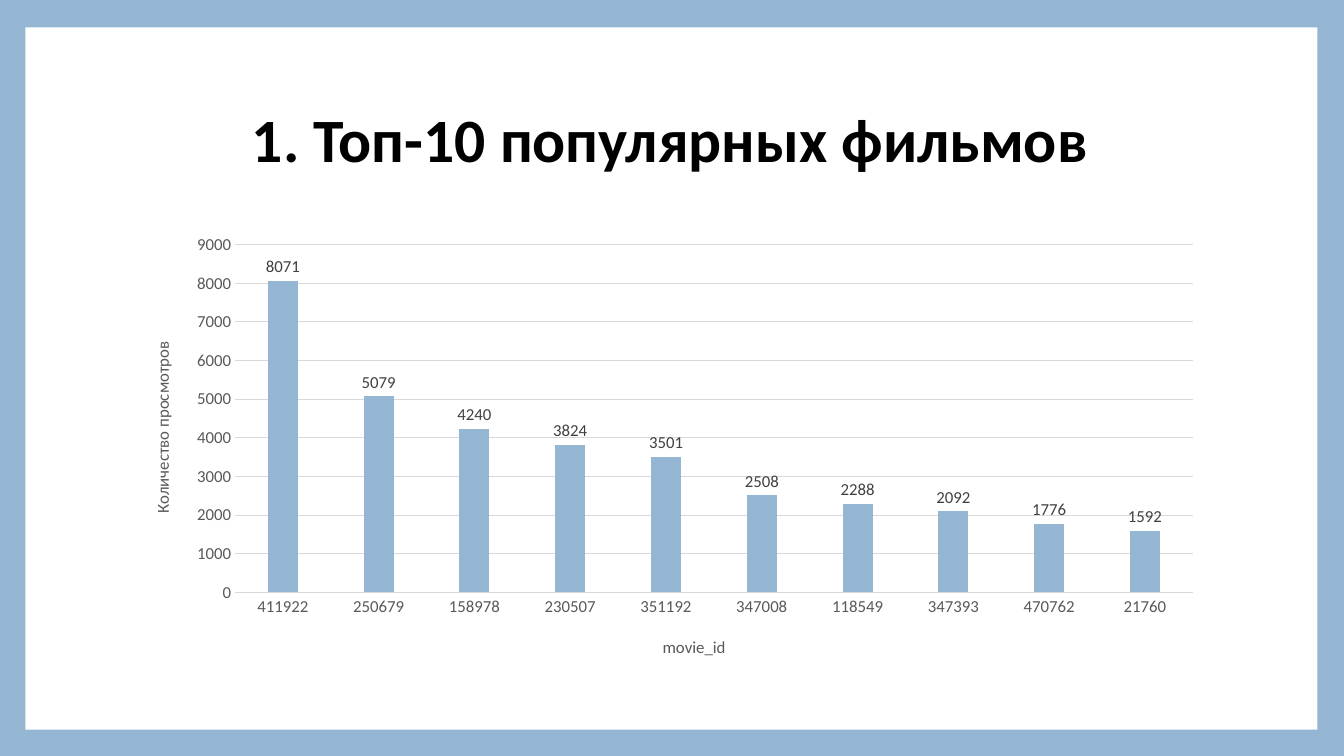
from lxml import etree
from pptx import Presentation
from pptx.chart.data import CategoryChartData
from pptx.dml.color import RGBColor
from pptx.enum.chart import XL_CHART_TYPE as CHART, XL_LABEL_POSITION as LABEL, XL_TICK_MARK as TICK
from pptx.enum.shapes import MSO_SHAPE as SHAPE
from pptx.enum.text import MSO_ANCHOR as ANCHOR, MSO_AUTO_SIZE as AUTO, PP_ALIGN as ALIGN
from pptx.oxml.ns import qn
from pptx.util import Cm, Pt

COLORS = {"blue": "94B6D2", "white": "FFFFFF", "title": "000000",
          "axis": "595959", "label": "404040", "grid": "D9D9D9"}
FONT = "Calibri"
VIEWS = {"411922": 8071, "250679": 5079, "158978": 4240, "230507": 3824, "351192": 3501,
         "347008": 2508, "118549": 2288, "347393": 2092, "470762": 1776, "21760": 1592}


def rgb(name):
    return RGBColor.from_string(COLORS[name])


def format_font(font, size, color, bold=False):
    for key, value in {"name": FONT, "size": Pt(size), "bold": bold}.items():
        setattr(font, key, value)
    font.color.rgb = rgb(color)


def format_line(line, color):
    line.color.rgb = rgb(color)
    line.width = Pt(0.75)


def set_layout(parent, index, **values):
    """Place a chart part by fractions of the chart's size."""
    for old in parent.findall(qn("c:layout")):
        parent.remove(old)
    layout = etree.Element(qn("c:layout"))
    manual = etree.SubElement(layout, qn("c:manualLayout"))
    for key, value in values.items():
        etree.SubElement(manual, qn(f"c:{key}")).set("val", str(value))
    parent.insert(index, layout)


def add_panel(slide, box):
    """Add the white panel behind everything else on the slide."""
    slide.background.fill.solid()
    slide.background.fill.fore_color.rgb = rgb("blue")
    sp = slide.shapes.add_shape(SHAPE.RECTANGLE, *box)
    sp.shadow.inherit = False
    sp.fill.solid()
    sp.fill.fore_color.rgb = rgb("white")
    sp.line.fill.background()
    slide.shapes._spTree.insert(2, sp._element)


def add_title(slide, box, text):
    sp = slide.shapes.title
    sp.left, sp.top, sp.width, sp.height = box
    tf = sp.text_frame
    for key, value in {"text": text, "word_wrap": True, "auto_size": AUTO.NONE,
                       "vertical_anchor": ANCHOR.MIDDLE}.items():
        setattr(tf, key, value)
    p = tf.paragraphs[0]
    p.alignment, p.line_spacing = ALIGN.CENTER, 0.9
    format_font(p.runs[0].font, 44, "title", bold=True)


def format_axis(axis, title, x, y):
    axis.major_tick_mark = axis.minor_tick_mark = TICK.NONE
    format_font(axis.tick_labels.font, 12, "axis")
    tf = axis.axis_title.text_frame
    tf.text = title
    format_font(tf.paragraphs[0].runs[0].font, 12, "axis")
    set_layout(axis.axis_title._element, 1, xMode="edge", yMode="edge", x=x, y=y)


def add_views_chart(slide, box):
    data = CategoryChartData()
    data.categories = list(VIEWS)
    data.add_series("Series 1", VIEWS.values())
    chart = slide.shapes.add_chart(CHART.COLUMN_CLUSTERED, *box, data).chart
    chart.has_legend = chart.has_title = False
    format_font(chart.font, 12, "title")

    format_axis(chart.category_axis, "movie_id", 0.49, 0.91)
    format_line(chart.category_axis.format.line, "grid")
    axis = chart.value_axis
    format_axis(axis, "Количество просмотров", 0.02, 0.25)
    axis.minimum_scale, axis.maximum_scale, axis.major_unit = 0, 9000, 1000
    axis.format.line.fill.background()
    format_line(axis.major_gridlines.format.line, "grid")

    plot = chart.plots[0]
    plot.gap_width, plot.overlap, plot.vary_by_categories = 219, -27, False
    fill = plot.series[0].format.fill
    fill.solid()
    fill.fore_color.rgb = rgb("blue")
    labels = plot.series[0].data_labels
    labels.show_value, labels.position = True, LABEL.OUTSIDE_END
    format_font(labels.font, 12, "label")
    set_layout(chart._chartSpace.find(".//" + qn("c:plotArea")), 0, layoutTarget="inner",
               xMode="edge", yMode="edge", x=0.1, y=0.04, w=0.88, h=0.78)


def main():
    prs = Presentation()
    prs.slide_width, prs.slide_height = Cm(33.87), Cm(19.05)
    slide = prs.slides.add_slide(prs.slide_layouts[5])
    add_panel(slide, (Cm(0.64), Cm(0.69), Cm(32.56), Cm(17.7)))
    left, width = Cm(3.18), Cm(27.43)
    add_title(slide, (left, Cm(1.7), width, Cm(3.76)), "1. Топ-10 популярных фильмов")
    add_views_chart(slide, (left, Cm(5.72), width, Cm(11.23)))
    prs.save("out.pptx")


if __name__ == "__main__":
    main()
